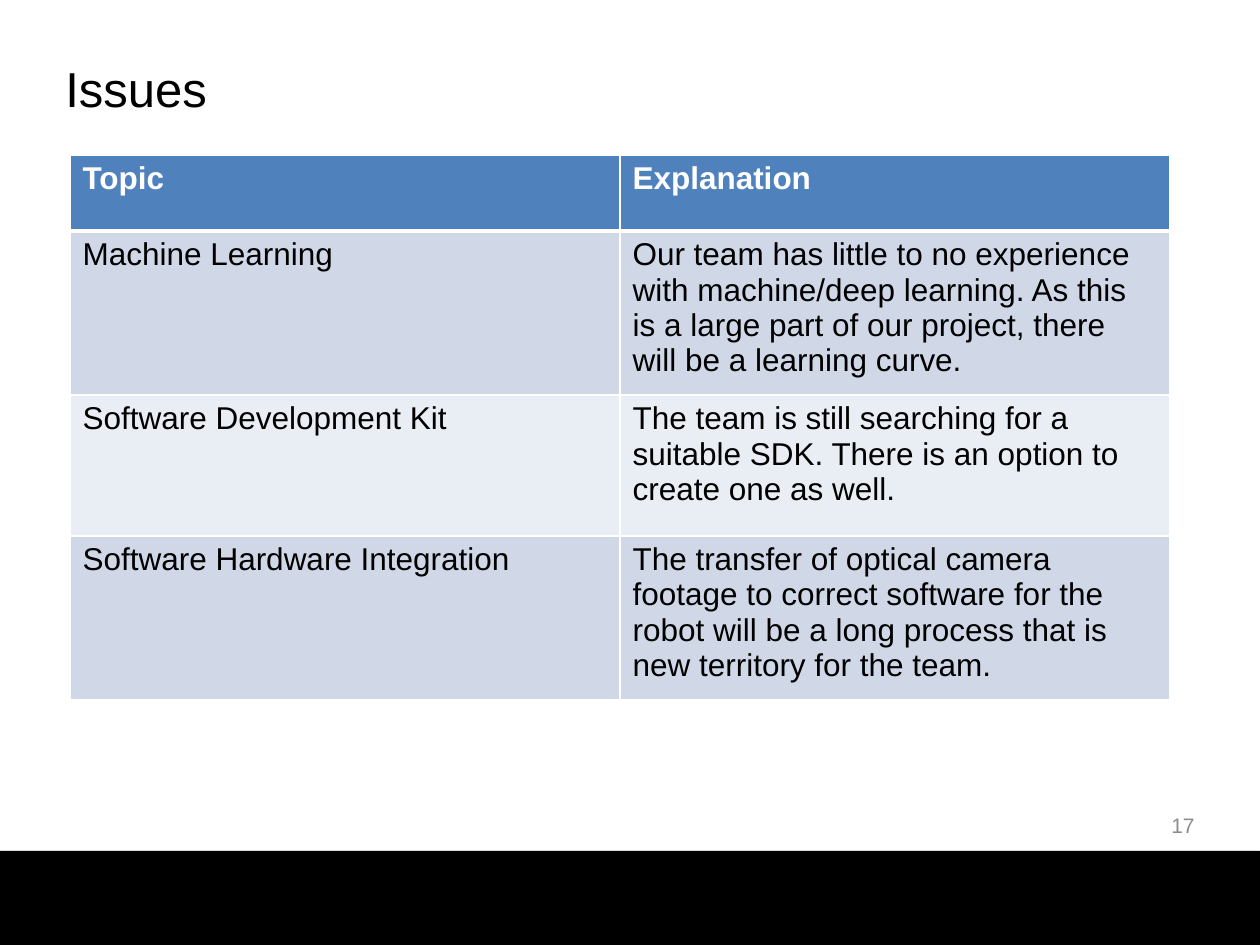
from lxml import etree
from pptx import Presentation
from pptx.dml.color import RGBColor
from pptx.enum.shapes import MSO_SHAPE
from pptx.enum.text import MSO_ANCHOR, PP_ALIGN
from pptx.oxml import parse_xml
from pptx.oxml.ns import nsdecls, qn
from pptx.util import Pt

PX = 914400 // 126
RECTANGLE = MSO_SHAPE.RECTANGLE
MIDDLE = MSO_ANCHOR.MIDDLE
LEFT, RIGHT = PP_ALIGN.LEFT, PP_ALIGN.RIGHT

BLACK = RGBColor(0x00, 0x00, 0x00)
WHITE = RGBColor(0xFF, 0xFF, 0xFF)
GREY = RGBColor(0x8C, 0x8C, 0x8C)
HEADER_BLUE = RGBColor(0x4F, 0x81, 0xBD)
BAND_DARK = RGBColor(0xD0, 0xD8, 0xE8)
BAND_LIGHT = RGBColor(0xE9, 0xED, 0xF4)


def style(paragraph, size, color, bold=False, align=LEFT):
    paragraph.alignment = align
    font = paragraph.font
    font.name, font.size, font.bold = "Arial", Pt(size), bold
    font.color.rgb = color


def add_label(text, left, top, width, height, size, color, align=LEFT):
    frame = slide.shapes.add_textbox(left * PX, top * PX, width * PX, height * PX).text_frame
    frame.word_wrap = True
    frame.vertical_anchor = MIDDLE
    frame.text = text
    style(frame.paragraphs[0], size, color, align=align)


prs = Presentation()
prs.slide_width, prs.slide_height = 1260 * PX, 945 * PX
slide = prs.slides.add_slide(prs.slide_layouts[6])
slide.background.fill.solid()
slide.background.fill.fore_color.rgb = WHITE

# Footer band with a soft shadow
footer = slide.shapes.add_shape(RECTANGLE, 0, 851 * PX, 1260 * PX, 94 * PX)
footer.fill.solid()
footer.fill.fore_color.rgb = BLACK
footer.line.fill.background()
footer.shadow.inherit = False
footer.element.spPr.find(qn("a:effectLst")).append(parse_xml(
    f'<a:outerShdw {nsdecls("a")} blurRad="39370" dist="22860" dir="5400000" rotWithShape="0">'
    '<a:srgbClr val="000000"><a:alpha val="35000"/></a:srgbClr></a:outerShdw>'))

# Title and page number
add_label("Issues", 53, 46, 1134, 84, 28, BLACK)
add_label("17", 913, 800, 294, 50, 12, GREY, RIGHT)

# Issues table
issues = [
    ("Topic", "Explanation"),
    ("Machine Learning",
     "Our team has little to no experience with machine/deep learning. "
     "As this is a large part of our project, there will be a learning curve."),
    ("Software Development Kit",
     "The team is still searching for a suitable SDK. "
     "There is an option to create one as well."),
    ("Software Hardware Integration",
     "The transfer of optical camera footage to correct software for the robot "
     "will be a long process that is new territory for the team."),
]
row_heights = [76, 162, 141, 153]
table = slide.shapes.add_table(len(issues), 2, 70 * PX, 155 * PX, 1100 * PX,
                               sum(row_heights) * PX).table
for column in table.columns:
    column.width = 550 * PX

for r, (row, height) in enumerate(zip(issues, row_heights)):
    table.rows[r].height = height * PX
    header = r == 0
    fill = HEADER_BLUE if header else (BAND_LIGHT, BAND_DARK)[r % 2]
    for c, text in enumerate(row):
        cell = table.cell(r, c)
        cell.text = text
        style(cell.text_frame.paragraphs[0], 18, WHITE if header else BLACK, bold=header)
        cell.fill.solid()
        cell.fill.fore_color.rgb = fill

        # White borders, thicker between header and body
        properties = cell._tc.get_or_add_tcPr()
        for index, side in enumerate(("lnL", "lnR", "lnT", "lnB")):
            thick = (r, side) in ((0, "lnB"), (1, "lnT"))
            border = etree.Element(qn(f"a:{side}"), w=str(Pt(3 if thick else 1)))
            color = etree.SubElement(etree.SubElement(border, qn("a:solidFill")), qn("a:srgbClr"))
            color.set("val", str(WHITE))
            properties.insert(index, border)

prs.save("out.pptx")
